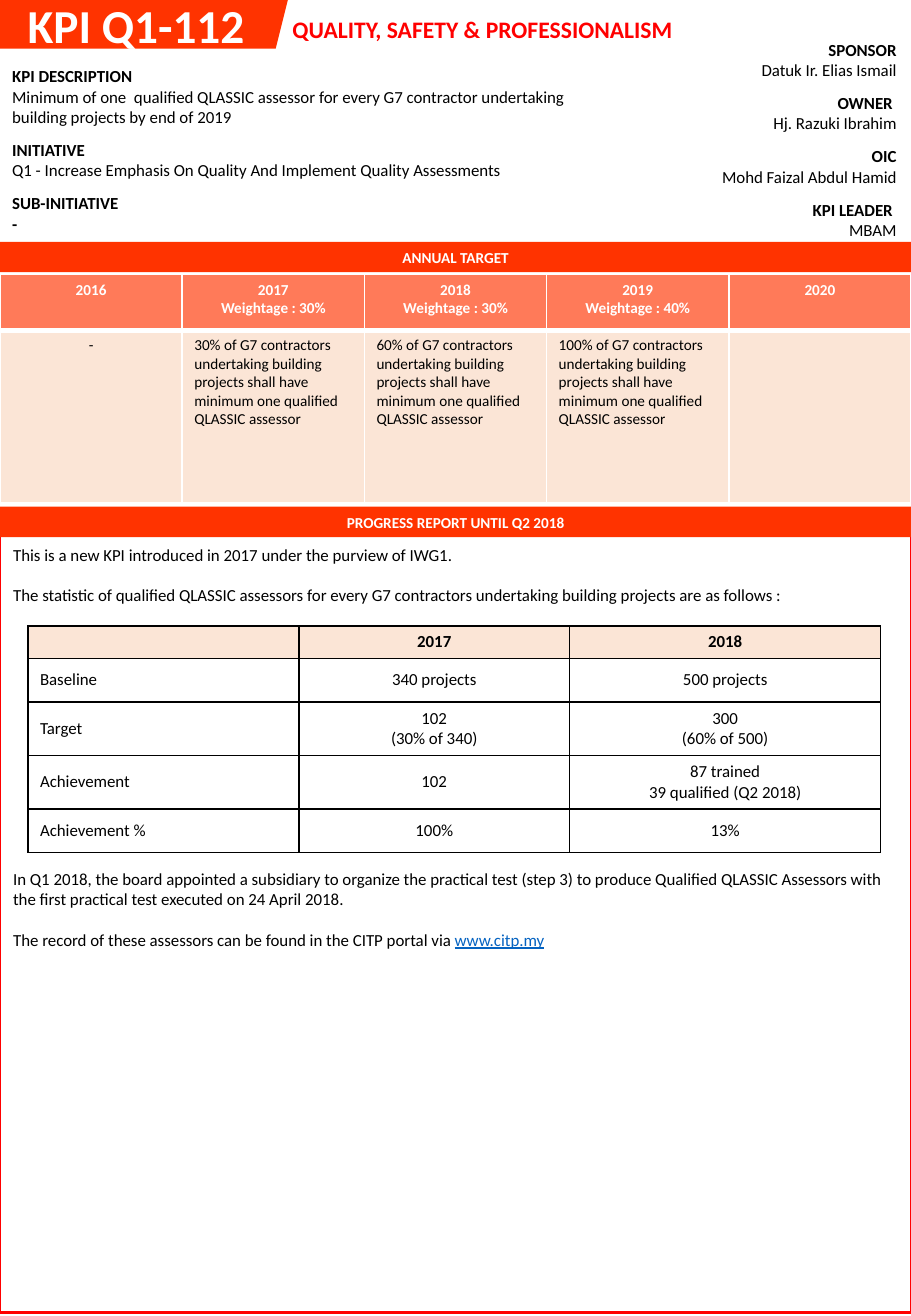
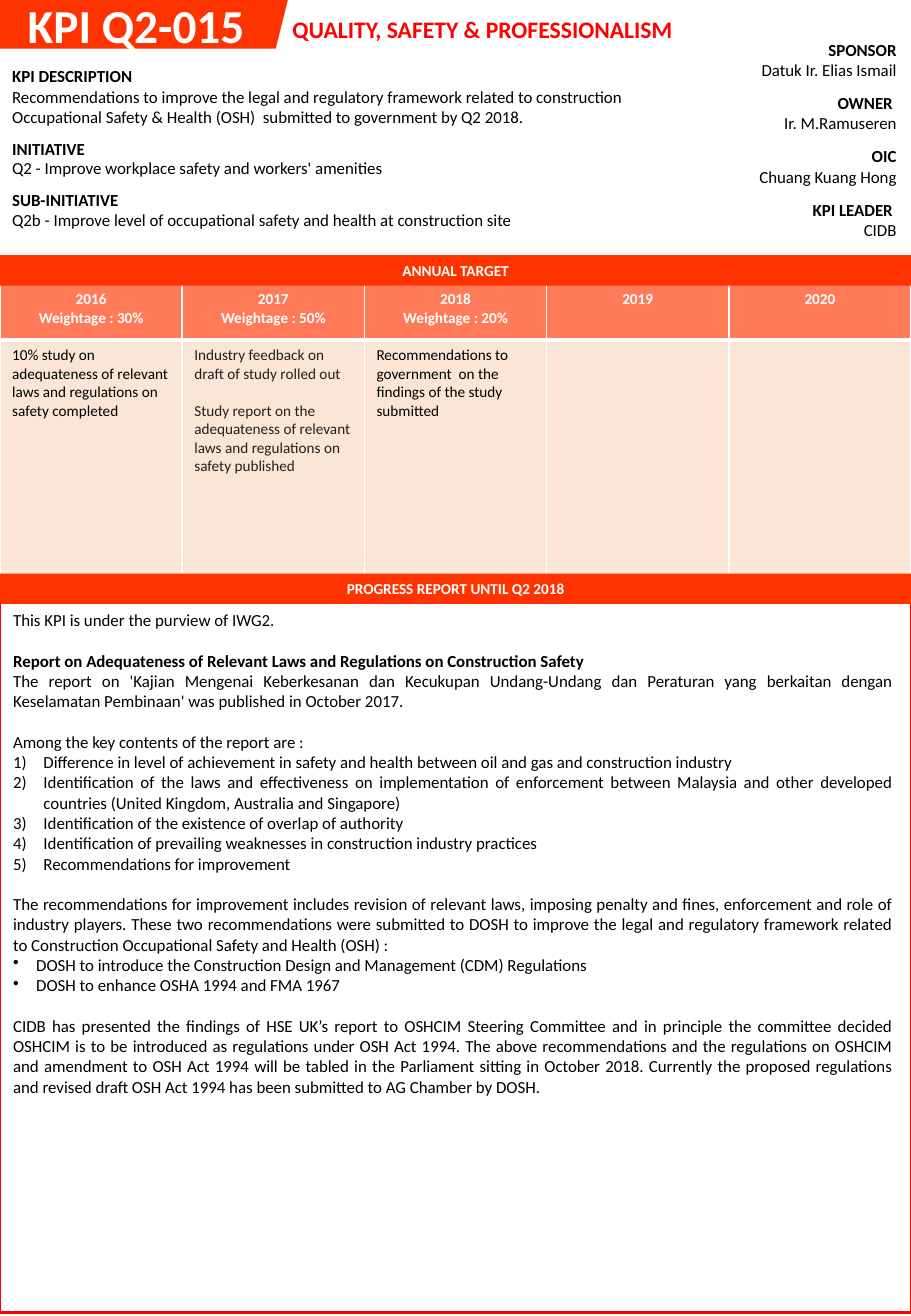
from lxml.etree import SubElement as Sub
from pptx import Presentation as Deck
from pptx.dml.color import RGBColor as Color
from pptx.enum.shapes import MSO_SHAPE as Shape
from pptx.enum.text import MSO_ANCHOR as Anchor, PP_ALIGN as Align
from pptx.oxml.ns import qn
from pptx.util import Pt

PX = 9144  # one px is a hundredth of an inch
WIDE, HIGH = 750, 1083
FONT, RED, ORANGE, CORAL, PEACH = "Calibri", "FF0000", "FF3300", "FF7A59", "FBE5D6"
WHITE, BLACK, INK, BLUE = "FFFFFF", "000000", "231F20", "0563C1"
PLAIN = "{2D5ABB26-0587-4C30-8999-92F81FD0307C}"  # table style without fill or grid
YEARS = range(2016, 2021)

BODY = dict(size=Pt(10), color=BLACK)
SMALL = dict(size=Pt(9), color=BLACK)
BAND = dict(size=Pt(9), color=WHITE, bold=True, alignment=Align.CENTER)
BADGE = dict(size=Pt(28), color=WHITE, bold=True)
THEME = dict(size=Pt(14), color=RED, bold=True)
BOLD, MID = dict(bold=True), dict(alignment=Align.CENTER)
GAP = dict(space_before=Pt(12))
EVEN = dict(alignment=Align.JUSTIFY)
COUNT = dict(mark=("buAutoNum", "type", "arabicParenR"), indent=25)
DOT = dict(mark=("buChar", "char", "•"), indent=19)


def emu(*sizes):
    return [size * PX for size in sizes]


def paint(target, color):
    target.solid()
    target.fore_color.rgb = Color.from_string(color)


def style(font, form):
    font.name = FONT
    for key in ("size", "bold", "underline"):
        if key in form:
            setattr(font, key, form[key])
    paint(font.fill, form["color"])


def indent(para, form):
    """Hang a bullet or number in front of the paragraph."""
    props = para._p.get_or_add_pPr()
    depth = form["indent"] * PX
    props.set("marL", str(depth))
    props.set("indent", str(-depth))
    tag, key, value = form["mark"]
    Sub(props, qn("a:" + tag)).set(key, value)


def write(frame, items, base):
    """Fill a text frame with strings or (string, format) pairs."""
    frame.word_wrap = True
    for i, item in enumerate(items):
        text, own = item if isinstance(item, tuple) else (item, {})
        form = {**base, **own}
        para = frame.paragraphs[0] if i == 0 else frame.add_paragraph()
        for key in ("alignment", "space_before", "line_spacing"):
            if key in form:
                setattr(para, key, form[key])
        if "mark" in form:
            indent(para, form)
        if not text:
            Sub(para._p, qn("a:endParaRPr")).set("sz", str(int(form["size"].pt * 100)))
            continue
        tail = dict(form, color=BLUE, underline=True)
        for part, look in ((text, form), (form.get("tail"), tail)):
            if part:
                run = para.add_run()
                run.text = part
                style(run.font, look)


def label(slide, box, items, base):
    write(slide.shapes.add_textbox(*emu(*box)).text_frame, items, base)


def block(slide, kind, box, fill=None, line=None):
    shape = slide.shapes.add_shape(kind, *emu(*box))
    shape.shadow.inherit = False
    if fill:
        paint(shape.fill, fill)
    else:
        shape.fill.background()
    if line:
        paint(shape.line.fill, line)
        shape.line.width = Pt(1.5)
    else:
        shape.line.fill.background()
    return shape


def bar(slide, top, text):
    frame = block(slide, Shape.RECTANGLE, (0, top, WIDE, 25), ORANGE).text_frame
    frame.vertical_anchor = Anchor.MIDDLE
    write(frame, [text], BAND)


def edge(cell, color, widths):
    """Draw the left, right, top and bottom borders, widths in points."""
    props = cell._tc.get_or_add_tcPr()
    for side, width in zip("LRTB", widths):
        line = Sub(props, qn("a:ln" + side), w=str(Pt(width)))
        Sub(Sub(line, qn("a:solidFill")), qn("a:srgbClr")).set("val", color)


def grid(slide, spot, cols, rows, cells, look):
    """Add a table; look(row, col) gives each cell's format."""
    size = sum(cols), sum(rows)
    shape = slide.shapes.add_table(len(rows), len(cols), *emu(*spot, *size))
    shape.element.find(".//" + qn("a:tableStyleId")).text = PLAIN
    table = shape.table
    for parts, key, sizes in ((table.columns, "width", cols), (table.rows, "height", rows)):
        for part, length in zip(parts, sizes):
            setattr(part, key, length * PX)
    for r, line in enumerate(cells):
        for c, items in enumerate(line):
            cell, form = table.cell(r, c), look(r, c)
            if "edge" in form:
                edge(cell, *form["edge"])
            if "fill" in form:
                paint(cell.fill, form["fill"])
            else:
                cell.fill.background()
            cell.vertical_anchor = form.get("anchor", Anchor.TOP)
            write(cell.text_frame, items, form["text"])


def facts(slide, spot, width, rows, pairs, side):
    """Stack bold headings, each with its value below."""
    cells = [[[(head, BOLD), value]] for head, value in pairs]
    grid(slide, spot, [width], rows, cells, lambda r, c: dict(text={**BODY, **side}))


def goals(slide, top, depth, shares, aims):
    """Show the weight and the aim of each year."""
    heads = [[str(year)] + ([f"Weightage : {shares[year]}%"] if year in shares else [])
             for year in YEARS]
    tasks = [aims.get(year, [""]) for year in YEARS]
    looks = [dict(fill=CORAL, text=BAND, edge=(WHITE, (1, 1, 1, 3))),
             dict(fill=PEACH, text=SMALL, edge=(WHITE, (1, 1, 3, 1)))]
    grid(slide, (0, top), [WIDE // len(YEARS)] * len(YEARS), [46, depth],
         [heads, tasks], lambda r, c: looks[r])


def page(deck, code, people, about, goal, bars):
    """Build what both slides share."""
    slide = deck.slides.add_slide(deck.slide_layouts[6])
    block(slide, Shape.PARALLELOGRAM, (-17, 0, 254, 40), ORANGE)
    goals(slide, *goal)
    start = bars[1] + 6
    block(slide, Shape.RECTANGLE, (0, start, WIDE, 1080 - start), line=RED)
    titles = "SPONSOR", "OWNER ", "OIC", "KPI LEADER "
    facts(slide, (542, 28), 206, [44] * 4, zip(titles, people), dict(alignment=Align.RIGHT))
    width, rows, notes = about
    titles = "KPI DESCRIPTION", "INITIATIVE", "SUB-INITIATIVE"
    facts(slide, (0, 50), width, rows, zip(titles, notes), {})
    label(slide, (231, 7, 346, 34), ["QUALITY, SAFETY & PROFESSIONALISM"], THEME)
    label(slide, (13, -8, 243, 57), [code], BADGE)
    for top, text in zip(bars, ("ANNUAL TARGET", "PROGRESS REPORT UNTIL Q2 2018")):
        bar(slide, top, text)
    return slide


def result(slide):
    """Compare the two years of assessor figures."""
    cells = [
        [[""], ["2017"], ["2018"]],
        [["Baseline"], ["340 projects"], ["500 projects"]],
        [["Target"], ["102", "(30% of 340)"], ["300", "(60% of 500)"]],
        [["Achievement"], ["102"], ["87 trained", "39 qualified (Q2 2018)"]],
        [["Achievement %"], ["100%"], ["13%"]],
    ]

    def look(r, c):
        text = {**BODY, **(MID if c else {}), "bold": r == 0}
        form = dict(text=text, anchor=Anchor.MIDDLE, edge=(BLACK, [1] * 4))
        return form if r else dict(form, fill=PEACH)

    grid(slide, (23, 515), [223, 223, 256], [25, 36, 44, 44, 36], cells, look)


def first(deck):
    aim = ("{}% of G7 contractors undertaking building projects shall have "
           "minimum one qualified QLASSIC assessor")
    aims = {year: [aim.format(part)] for year, part in ((2017, 30), (2018, 60), (2019, 100))}
    slide = page(
        deck, "KPI Q1-112",
        ["Datuk Ir. Elias Ismail", "Hj. Razuki Ibrahim", "Mohd Faizal Abdul Hamid", "MBAM"],
        (522, [60, 44, 44], [
            "Minimum of one  qualified QLASSIC assessor for every G7 contractor "
            "undertaking building projects by end of 2019",
            "Q1 - Increase Emphasis On Quality And Implement Quality Assessments",
            ("-", BOLD)]),
        (226, 142, {2017: 30, 2018: 30, 2019: 40}, {2016: [("-", MID)], **aims}),
        (199, 417))
    label(slide, (1, 443, 740, 60), [
        "This is a new KPI introduced in 2017 under the purview of IWG1.",
        ("The statistic of qualified QLASSIC assessors for every G7 contractors "
         "undertaking building projects are as follows :", GAP)], BODY)
    label(slide, (1, 710, 740, 77), [
        "In Q1 2018, the board appointed a subsidiary to organize the practical test (step 3) "
        "to produce Qualified QLASSIC Assessors with the first practical test executed "
        "on 24 April 2018.",
        ("The record of these assessors can be found in the CITP portal via ",
         dict(GAP, tail="www.citp.my"))], BODY)
    result(slide)


def second(deck):
    slide = page(
        deck, "KPI Q2-015",
        ["Datuk Ir. Elias Ismail", "Ir. M.Ramuseren", "Chuang Kuang Hong", "CIDB"],
        (541, [60, 41, 44], [
            "Recommendations to improve the legal and regulatory framework related to "
            "construction Occupational Safety & Health (OSH)  submitted to government "
            "by Q2 2018.",
            ("Q2 - Improve workplace safety and workers' amenities", dict(line_spacing=0.88)),
            "Q2b - Improve level of occupational safety and health at construction site"]),
        (234, 196, {2016: 30, 2017: 50, 2018: 20}, {
            2016: ["10% study on adequateness of relevant laws and regulations on "
                   "safety completed"],
            2017: [("Industry feedback on draft of study rolled out", dict(color=INK)),
                   ("Study report on the adequateness of relevant laws and regulations "
                    "on safety published", dict(color=INK, space_before=Pt(11)))],
            2018: ["Recommendations to government  on the findings of the study submitted"]}),
        (210, 472))
    points = [
        "Difference in level of achievement in safety and health between oil and gas "
        "and construction industry",
        "Identification of the laws and effectiveness on implementation of enforcement "
        "between Malaysia and other developed countries (United Kingdom, Australia and "
        "Singapore)",
        "Identification of the existence of overlap of authority",
        "Identification of prevailing weaknesses in construction industry practices",
        "Recommendations for improvement",
    ]
    steps = [
        "DOSH to introduce the Construction Design and Management (CDM) Regulations",
        "DOSH to enhance OSHA 1994 and FMA 1967",
    ]
    label(slide, (1, 497, 743, 464), [
        "This KPI is under the purview of IWG2.",
        ("Report on Adequateness of Relevant Laws and Regulations on Construction Safety",
         {**GAP, **BOLD}),
        "The report on 'Kajian Mengenai Keberkesanan dan Kecukupan Undang-Undang dan "
        "Peraturan yang berkaitan dengan Keselamatan Pembinaan' was published in "
        "October 2017.",
        ("Among the key contents of the report are :", GAP),
        *[(point, COUNT) for point in points],
        ("The recommendations for improvement includes revision of relevant laws, imposing "
         "penalty and fines, enforcement and role of industry players. These two "
         "recommendations were submitted to DOSH to improve the legal and regulatory "
         "framework related to Construction Occupational Safety and Health (OSH) :", GAP),
        *[(step, DOT) for step in steps],
        ("CIDB has presented the findings of HSE UK’s report to OSHCIM Steering Committee "
         "and in principle the committee decided OSHCIM is to be introduced as regulations "
         "under OSH Act 1994. The above recommendations and the regulations on OSHCIM and "
         "amendment to OSH Act 1994 will be tabled in the Parliament sitting in October "
         "2018. Currently the proposed regulations and revised draft OSH Act 1994 has been "
         "submitted to AG Chamber by DOSH.", GAP),
    ], {**BODY, **EVEN})


def main():
    deck = Deck()
    deck.slide_width, deck.slide_height = emu(WIDE, HIGH)
    first(deck)
    second(deck)
    deck.save("out.pptx")


if __name__ == "__main__":
    main()
